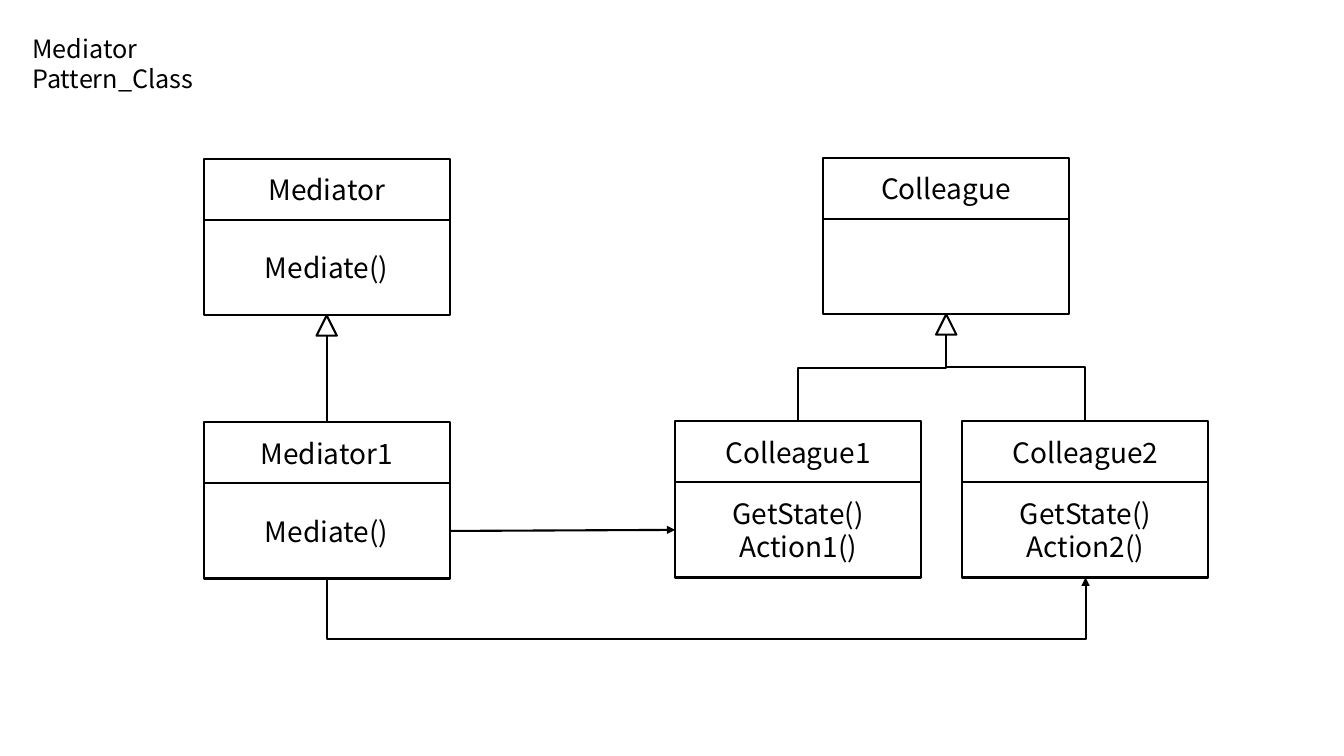
import pptx
import pptx.util
import pptx.dml.color
import pptx.enum.shapes
import pptx.enum.text
import pptx.oxml
import pptx.oxml.ns

Pt = pptx.util.Pt
SHAPES = pptx.enum.shapes.MSO_SHAPE
CONNECTORS = pptx.enum.shapes.MSO_CONNECTOR
ALIGN = pptx.enum.text.PP_ALIGN
ANCHOR = pptx.enum.text.MSO_ANCHOR
FONT = "Noto Sans CJK KR"
BLACK, WHITE = "000000", "FFFFFF"
CLASS_WIDTH, NAME_HEIGHT, METHODS_HEIGHT = 175.75, 43.5, 68
TOP, LEFT, BOTTOM, RIGHT = range(4)


def color(hex_value):
    return pptx.dml.color.RGBColor.from_string(hex_value)


def write(holder, text, size=20, align=ALIGN.CENTER, anchor=ANCHOR.MIDDLE):
    frame = holder.text_frame
    frame.text = text
    frame.word_wrap = True
    frame.auto_size = pptx.enum.text.MSO_AUTO_SIZE.NONE
    frame.vertical_anchor = anchor
    for paragraph in frame.paragraphs:
        paragraph.alignment = align
        paragraph.font.size = Pt(size)
        paragraph.font.name = FONT
        paragraph.font.color.rgb = color(BLACK)


def outline(element):
    element.line.color.rgb = color(BLACK)
    element.line.width = Pt(1.5)


def add_outlined(slide, preset, left, top, width, height):
    shape = slide.shapes.add_shape(preset, Pt(left), Pt(top), Pt(width), Pt(height))
    shape.shadow.inherit = False
    shape.fill.solid()
    shape.fill.fore_color.rgb = color(WHITE)
    outline(shape)
    return shape


def add_class(slide, left, top, name, methods=""):
    header = add_outlined(slide, SHAPES.RECTANGLE, left, top, CLASS_WIDTH, NAME_HEIGHT)
    write(header, name)
    body = add_outlined(slide, SHAPES.RECTANGLE, left, top + NAME_HEIGHT,
                        CLASS_WIDTH, METHODS_HEIGHT)
    if methods:
        write(body, methods)
    return header, body


def add_arrow(slide, kind, source, source_side, target, target_side):
    arrow = slide.shapes.add_connector(kind, 0, 0, 0, 0)
    arrow.begin_connect(source, source_side)
    arrow.end_connect(target, target_side)
    outline(arrow)
    properties = arrow.line._get_or_add_ln()
    pptx.oxml.ns.qn("a:tailEnd")
    properties.append(pptx.oxml.parse_xml(
        '<a:tailEnd %s type="triangle"/>' % pptx.oxml.ns.nsdecls("a")))
    arrow.element.spPr.append(pptx.oxml.parse_xml(
        "<a:effectLst %s/>" % pptx.oxml.ns.nsdecls("a")))
    return arrow


def add_upward_elbow(slide, source, source_side, target, turn_y):
    arrow = add_arrow(slide, CONNECTORS.ELBOW, source, source_side, target, BOTTOM)
    start_x, start_y = arrow.begin_x, arrow.begin_y
    end_x, end_y = arrow.end_x, arrow.end_y
    rise, run = start_y - end_y, abs(end_x - start_x)
    arrow.left = (start_x + end_x - rise) // 2
    arrow.top = (start_y + end_y - run) // 2
    arrow.width, arrow.height = rise, run
    frame = arrow.element.spPr.find(pptx.oxml.ns.qn("a:xfrm"))
    frame.set("rot", "5400000")
    frame.set("flipH", "1")
    frame.set("flipV", "1" if end_x > start_x else "0")
    bend = round((start_y - Pt(turn_y)) / rise * 100000)
    geometry = arrow.element.spPr.find(pptx.oxml.ns.qn("a:prstGeom"))
    guides = geometry.find(pptx.oxml.ns.qn("a:avLst"))
    guides.append(pptx.oxml.parse_xml(
        '<a:gd %s name="adj1" fmla="val %d"/>' % (pptx.oxml.ns.nsdecls("a"), bend)))


def add_inheritance_head(slide, parent, size=14.5):
    center = (parent.left + parent.width / 2) / Pt(1)
    bottom = (parent.top + parent.height) / Pt(1)
    add_outlined(slide, SHAPES.ISOSCELES_TRIANGLE, center - size / 2, bottom, size, size)


def add_title(slide, text):
    title = slide.shapes.title
    title.left, title.top, title.width, title.height = Pt(16), Pt(20), Pt(204.5), Pt(50)
    write(title, text, size=18, align=ALIGN.LEFT, anchor=ANCHOR.TOP)


def main():
    deck = pptx.Presentation()
    deck.slide_width, deck.slide_height = Pt(960), Pt(540)
    slide = deck.slides.add_slide(deck.slide_layouts[5])
    add_title(slide, "Mediator Pattern_Class")

    _, mediator = add_class(slide, 145.5, 113.75, "Mediator", "Mediate()")
    _, colleague = add_class(slide, 588, 113, "Colleague")
    mediator1_name, mediator1 = add_class(slide, 145.5, 301.75, "Mediator1", "Mediate()")
    colleague1_name, colleague1 = add_class(
        slide, 482.25, 301, "Colleague1", "GetState()\nAction1()")
    colleague2_name, colleague2 = add_class(
        slide, 687.5, 301, "Colleague2", "GetState()\nAction2()")

    add_arrow(slide, CONNECTORS.STRAIGHT, mediator1_name, TOP, mediator, BOTTOM)
    add_arrow(slide, CONNECTORS.STRAIGHT, mediator1, RIGHT, colleague1, LEFT)
    add_upward_elbow(slide, colleague1_name, TOP, colleague, 262.75)
    add_upward_elbow(slide, colleague2_name, TOP, colleague, 262)
    add_upward_elbow(slide, mediator1, BOTTOM, colleague2, 457.5)
    for parent in (mediator, colleague):
        add_inheritance_head(slide, parent)

    deck.save("out.pptx")


main()
